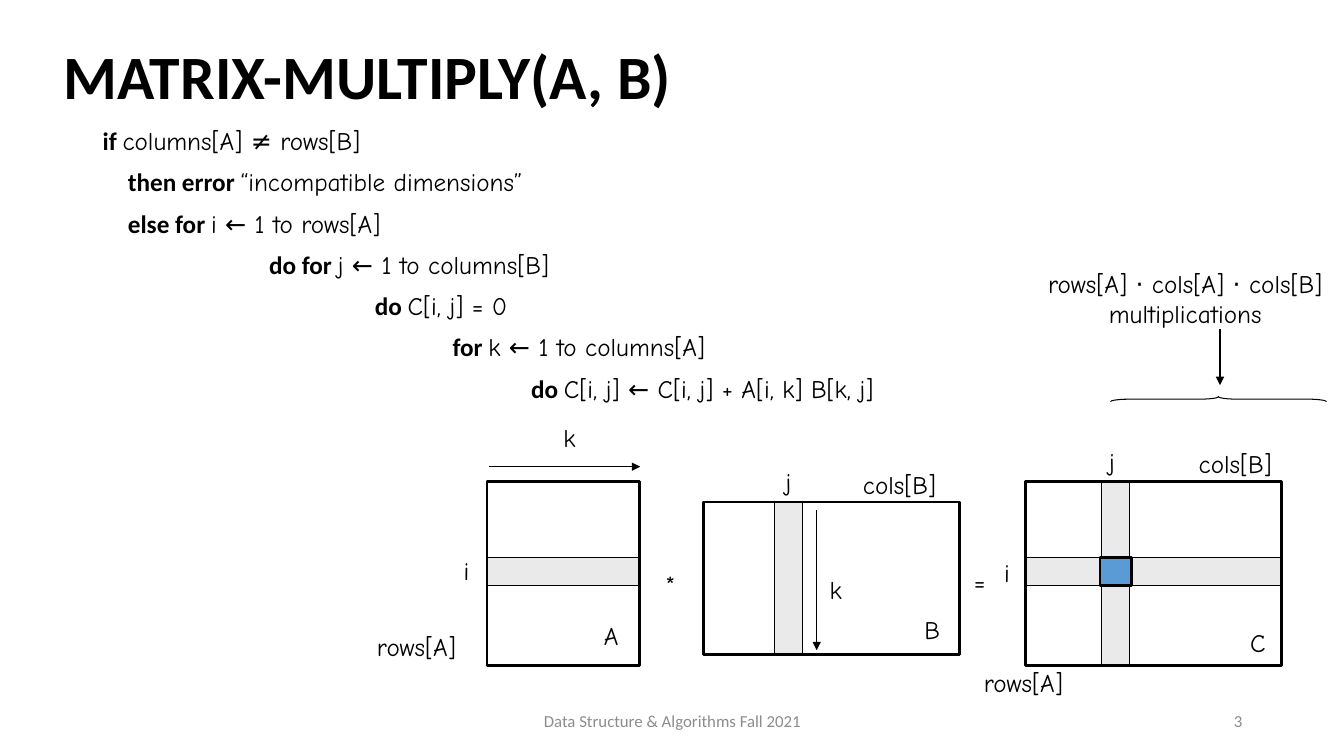
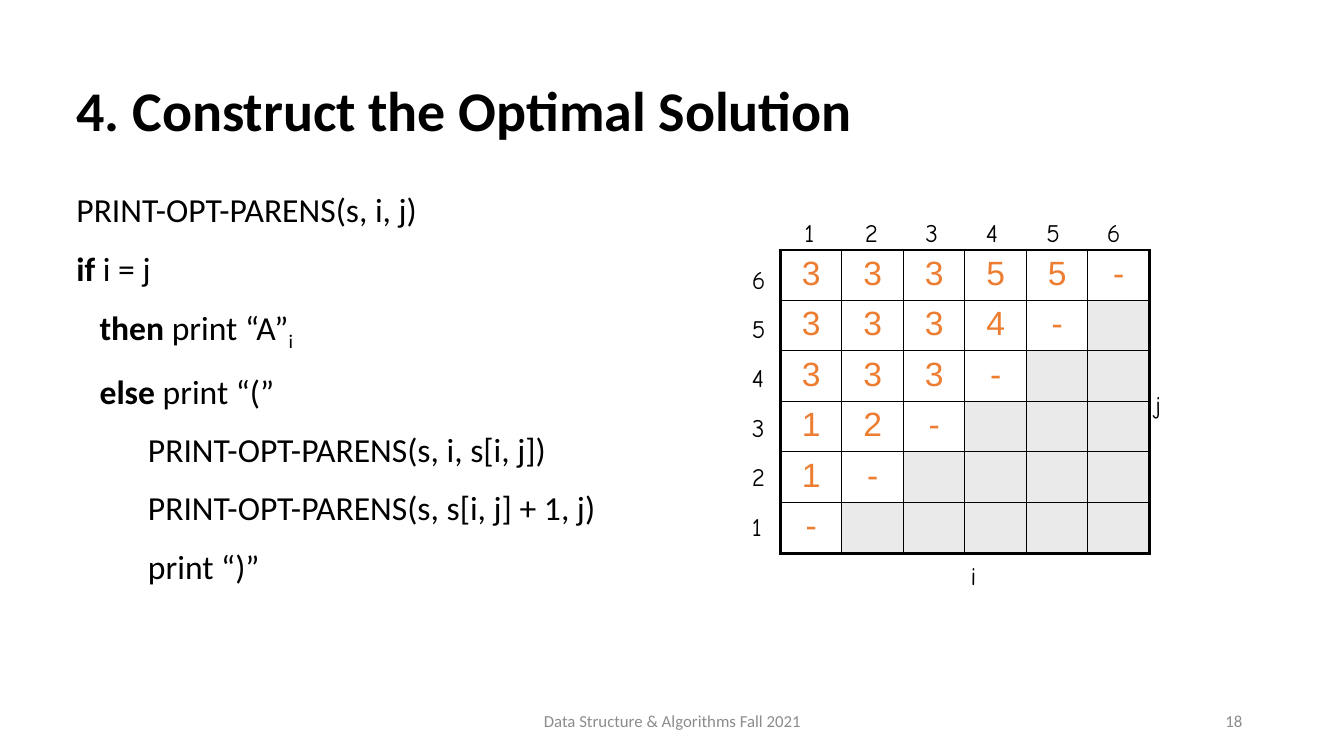
from lxml import etree
from pptx import Presentation
from pptx import util as u
from pptx.dml import color
from pptx.enum import shapes, text
from pptx.oxml import ns

PX = 9144  # EMU per px, 100 px to the inch
BLACK, GREY, SHADE = "000000", "8C8C8C", "EAEAEA"
BLUE, ORANGE, WHITE = "5B9BD5", "ED7D31", "FFFFFF"
SANS, HAND, DIGITS = "Calibri", "Comic Neue", "Arial"
LEFT, CENTER, RIGHT = text.PP_ALIGN.LEFT, text.PP_ALIGN.CENTER, text.PP_ALIGN.RIGHT
TOP, MIDDLE = text.MSO_ANCHOR.TOP, text.MSO_ANCHOR.MIDDLE
STRIP = 28  # thickness of a highlighted row or column


# Shared helpers
def emu(*lengths):
    return [u.Emu(length * PX) for length in lengths]


def rgb(value):
    return color.RGBColor.from_string(value)


def style(font, size, name=HAND, shade=BLACK, bold=False):
    font.size, font.name, font.bold = u.Pt(size), name, bold
    font.color.rgb = rgb(shade)


def write(slide, box, words, size=18, name=HAND, shade=BLACK, align=LEFT, anchor=TOP):
    frame = slide.shapes.add_textbox(*emu(*box)).text_frame
    frame.word_wrap, frame.vertical_anchor = True, anchor
    frame.text = words
    for line in frame.paragraphs:
        line.alignment = align
        for run in line.runs:
            style(run.font, size, name, shade)


def outline(shape, fill=None, width=0.75):
    shape.shadow.inherit = False
    if fill:
        shape.fill.solid()
        shape.fill.fore_color.rgb = rgb(fill)
    else:
        shape.fill.background()
    shape.line.color.rgb = rgb(BLACK)
    shape.line.width = u.Pt(width)


def rectangle(slide, box, fill=None, width=0.75):
    outline(slide.shapes.add_shape(shapes.MSO_SHAPE.RECTANGLE, *emu(*box)), fill, width)


def arrow(slide, x1, y1, x2, y2):
    link = slide.shapes.add_connector(shapes.MSO_CONNECTOR.STRAIGHT, *emu(x1, y1, x2, y2))
    link.line.color.rgb = rgb(BLACK)
    link.line.width = u.Pt(0.75)
    etree.SubElement(link.line._get_or_add_ln(), ns.qn("a:tailEnd"), type="triangle")
    etree.SubElement(link._element.spPr, ns.qn("a:effectLst"))


def titled_slide(deck, heading, box, size, number):
    slide = deck.slides.add_slide(deck.slide_layouts[5])
    title = slide.shapes.title
    title.left, title.top, title.width, title.height = emu(*box)
    frame = title.text_frame
    frame.text = heading
    frame.auto_size, frame.vertical_anchor = text.MSO_AUTO_SIZE.NONE, MIDDLE
    frame.paragraphs[0].alignment = LEFT
    frame.paragraphs[0].line_spacing = 0.9
    style(frame.paragraphs[0].runs[0].font, size, SANS, bold=True)
    # Footer
    write(slide, (442, 695, 450, 40), "Data Structure & Algorithms Fall 2021",
          12, SANS, GREY, CENTER, MIDDLE)
    write(slide, (942, 695, 300, 40), number, 12, SANS, GREY, RIGHT, MIDDLE)
    return slide


def pseudocode(slide, box, lines, size, name, spacing):
    """Each line is (indent, keyword, statement, subscript)."""
    frame = slide.shapes.add_textbox(*emu(*box)).text_frame
    frame.word_wrap = True
    for index, (indent, keyword, statement, subscript) in enumerate(lines):
        line = frame.add_paragraph() if index else frame.paragraphs[0]
        line._p.get_or_add_pPr().set("marL", str(indent * PX))
        line.line_spacing = spacing
        if index:
            line.space_before = u.Pt(10)
        for words, font, bold in ((keyword, SANS, True), (statement, name, False),
                                  (subscript, name, False)):
            if words:
                run = line.add_run()
                run.text = words
                style(run.font, size, font, bold=bold)
        if subscript:
            run._r.get_or_add_rPr().set("baseline", "-25000")


# Matrix diagram
def matrix(slide, box, labels, row=None, column=None):
    """Row and column are strip offsets; labels are (words, dx, dy, width)."""
    left, top, width, height = box
    if row is not None:
        rectangle(slide, (left, top + row, width, STRIP), SHADE)
    if column is not None:
        rectangle(slide, (left + column, top, STRIP, height), SHADE)
    rectangle(slide, box, width=2)
    if row is not None and column is not None:
        rectangle(slide, (left + column - 1, top + row, STRIP + 3, STRIP), BLUE, 2)
    for words, dx, dy, label_width in labels:
        write(slide, (left + dx, top + dy, label_width, 40), words)


def product_diagram(slide, left, top):
    a_left, a_top = left, top
    b_left, b_top = left + 215, top + 20
    matrix(slide, (a_left, a_top, 151, 182),
           [("rows[A]", -119, 143, 112), ("i", -33, 68, 36),
            ("A", 106, 132, 38), ("k", 66, -64, 36)], row=75)
    matrix(slide, (b_left, b_top, 254, 151),
           [("j", 71, -40, 36), ("cols[B]", 148, -37, 100),
            ("B", 209, 107, 36), ("k", 115, 67, 36)], column=70)
    matrix(slide, (left + 534, top, 254, 182),
           [("rows[A]", -51, 179, 112), ("cols[B]", 162, -38, 100),
            ("j", 73, -40, 36), ("i", -31, 70, 36), ("C", 213, 139, 36)],
           row=75, column=75)
    # Operators and the direction of k
    write(slide, (left + 167, top + 82, 36, 40), "*")
    write(slide, (left + 473, top + 79, 36, 40), "=")
    arrow(slide, a_left + 2, a_top - 15, a_left + 152, a_top - 15)
    arrow(slide, b_left + 112, b_top + 8, b_left + 112, b_top + 147)


def cost_note(slide, left, top):
    write(slide, (left, top, 315, 70), "rows[A] ⋅ cols[A] ⋅ cols[B]\nmultiplications",
          align=CENTER)
    brace = slide.shapes.add_shape(shapes.MSO_SHAPE.LEFT_BRACE,
                                   *emu(left + 188, top + 28, 5, 214))
    brace.rotation = 90
    brace.adjustments[0], brace.adjustments[1] = 3.66, 0.5
    outline(brace)
    arrow(slide, left + 192, top + 65, left + 192, top + 121)


# Table of split points
def border(cell, side, width):
    line = etree.SubElement(cell._tc.get_or_add_tcPr(), ns.qn("a:ln" + side),
                            w=str(u.Pt(width)))
    fill = etree.SubElement(line, ns.qn("a:solidFill"))
    etree.SubElement(fill, ns.qn("a:srgbClr"), val=BLACK)


def split_table(slide, left, top, rows):
    size, column_width, row_height = len(rows), 61, 49
    grid = slide.shapes.add_table(size, size, *emu(
        left, top, size * column_width, size * row_height + 2)).table
    grid.first_row = grid.horz_banding = False
    last = size - 1
    for k in range(size):
        grid.columns[k].width, grid.rows[k].height = emu(
            column_width, row_height + 2 * (k == last))
    for r, values in enumerate(rows):
        for c in range(size):
            cell = grid.cell(r, c)
            for side, outer in (("L", c == 0), ("R", c == last),
                                ("T", r == 0), ("B", r == last)):
                border(cell, side, 2.25 if outer else 1)
            cell.fill.solid()
            cell.fill.fore_color.rgb = rgb(WHITE if c < len(values) else SHADE)
            if c < len(values):
                cell.text_frame.text = values[c]
                entry = cell.text_frame.paragraphs[0]
                entry.alignment = CENTER
                style(entry.runs[0].font, 24, DIGITS, ORANGE)
    # Column and row numbers, then the axis names
    for k in range(size):
        write(slide, (left + 14 + 60 * k, top - 37, 36, 40), str(k + 1))
        write(slide, (left - 38, top + 9 + row_height * k, 36, 40), str(size - k))
    write(slide, (left + 179, top + 303, 36, 40), "i")
    write(slide, (left + 362, top + 133, 36, 40), "j")


# Slides
def multiply_slide(deck):
    slide = titled_slide(deck, "MATRIX-MULTIPLY(A, B)", (53, 6, 1150, 145), 44, "3")
    pseudocode(slide, (92, 123, 1022, 290), [
        (0, "if ", "columns[A] ≠ rows[B]", ""),
        (25, "then error ", "“incompatible dimensions”", ""),
        (25, "else for ", "i ← 1 to rows[A]", ""),
        (165, "do for ", "j ← 1 to columns[B]", ""),
        (270, "do ", "C[i, j] = 0", ""),
        (347, "for ", "k ← 1 to columns[A]", ""),
        (425, "do ", "C[i, j] ← C[i, j] + A[i, k] B[k, j]", ""),
    ], 18, HAND, 0.9)
    product_diagram(slide, 483, 478)
    cost_note(slide, 1018, 261)


def solution_slide(deck):
    slide = titled_slide(deck, "4. Construct the Optimal Solution",
                         (66, 40, 1200, 145), 40, "18")
    pseudocode(slide, (66, 179, 640, 440), [
        (0, "", "PRINT-OPT-PARENS(s, i, j)", ""),
        (0, "if ", "i = j", ""),
        (23, "then", " print “A”", "i"),
        (23, "else", " print “(”", ""),
        (71, "", "PRINT-OPT-PARENS(s, i, s[i, j])", ""),
        (71, "", "PRINT-OPT-PARENS(s, s[i, j] + 1, j)", ""),
        (71, "", "print “)”", ""),
    ], 24, SANS, 1.1)
    split_table(slide, 774, 248, ["33355-", "3334-", "333-", "12-", "1-", "-"])


def main():
    deck = Presentation()
    deck.slide_width, deck.slide_height = emu(1333, 750)
    multiply_slide(deck)
    solution_slide(deck)
    deck.save("out.pptx")


if __name__ == "__main__":
    main()
